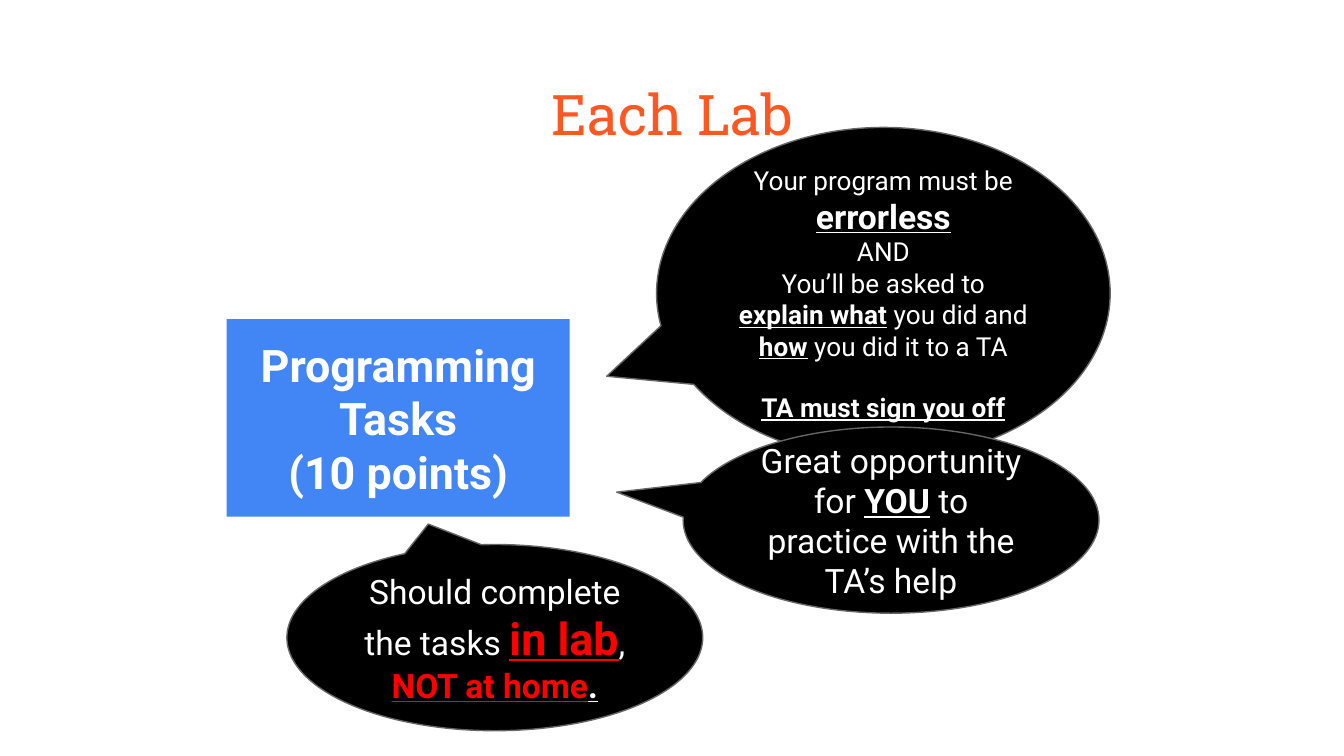
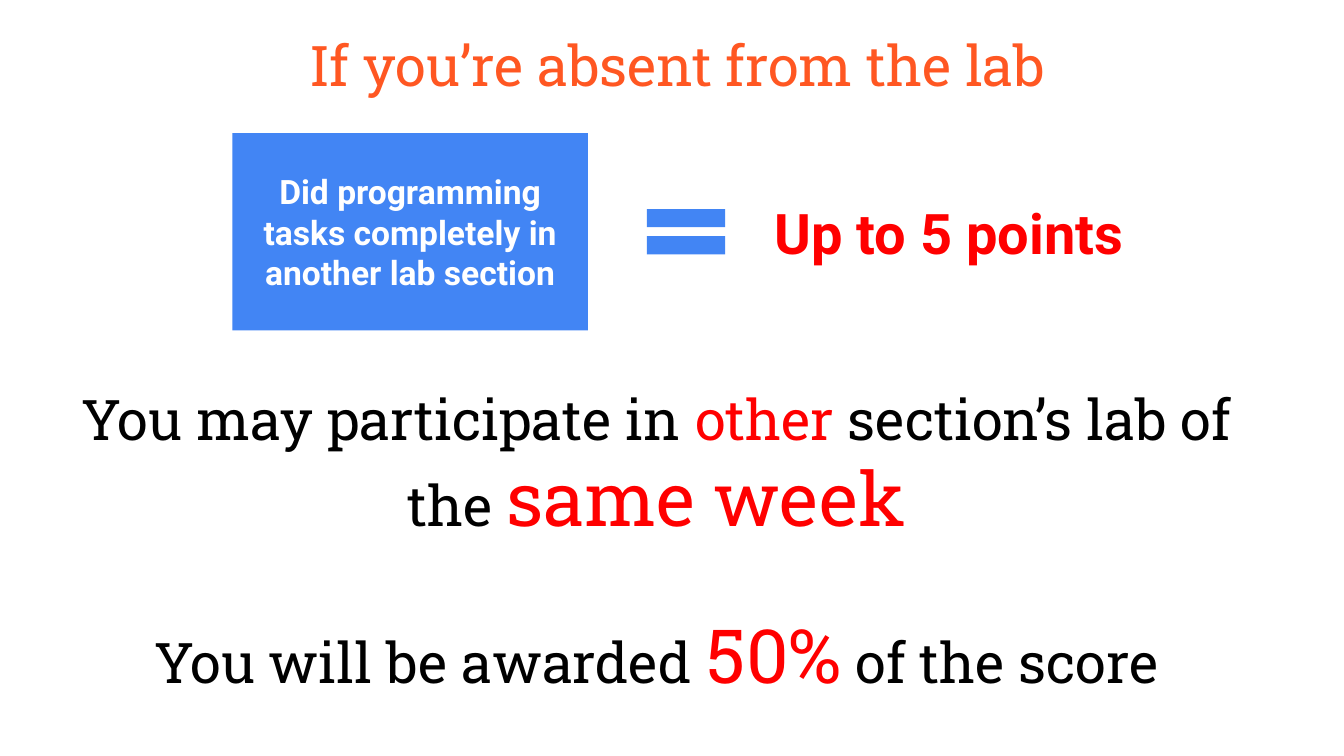
from pptx import Presentation
from pptx.dml.color import RGBColor
from pptx.enum.shapes import MSO_SHAPE as Preset
from pptx.enum.text import MSO_ANCHOR as Anchor, PP_ALIGN as Align
from pptx.util import Emu, Pt

SANS, SLAB = "Roboto", "Roboto Slab"
ORANGE, BLUE, RED = "FF5722", "4285F4", "FF0000"
BLACK, WHITE, GREY = "000000", "FFFFFF", "666666"
STRONG = {"bold": True, "underline": True}


def px(length):
    """Turn px into EMU."""
    return Emu(length * 9525)


def rgb(code):
    """Turn a hex string into a colour."""
    return RGBColor.from_string(code)


def write(holder, paragraphs, size, face, color, bold=False,
          align=Align.CENTER, anchor=Anchor.MIDDLE, gap=0):
    """Write paragraphs of (text, changes) runs, with a gap before the last."""
    frame = holder.text_frame
    frame.word_wrap = True
    frame.vertical_anchor = anchor
    frame.margin_left = frame.margin_right = px(10)
    frame.margin_top = frame.margin_bottom = px(10)
    base = {"size": size, "color": color, "bold": bold, "underline": False}
    for index, pieces in enumerate(paragraphs):
        line = frame.add_paragraph() if index else frame.paragraphs[0]
        line.alignment = align
        if gap and index == len(paragraphs) - 1:
            line.space_before = Pt(gap)
        for words, changes in pieces:
            style = {**base, **changes}
            run = line.add_run()
            run.text = words
            run.font.name = face
            run.font.size = Pt(style["size"])
            run.font.bold = style["bold"]
            run.font.underline = style["underline"]
            run.font.color.rgb = rgb(style["color"])


def add_text(slide, box, paragraphs, size, face, color, **layout):
    """Place free text in a box."""
    holder = slide.shapes.add_textbox(*map(px, box))
    write(holder, paragraphs, size, face, color, **layout)


def add_preset(slide, preset, box, fill, adjust=(), line=None):
    """Place a flat preset shape."""
    shape = slide.shapes.add_shape(preset, *map(px, box))
    shape.shadow.inherit = False
    for index, value in enumerate(adjust):
        shape.adjustments[index] = value
    shape.fill.solid()
    shape.fill.fore_color.rgb = rgb(fill)
    if line:
        shape.line.color.rgb = rgb(line)
        shape.line.width = Pt(0.75)
    else:
        shape.line.fill.background()
    return shape


def add_title(slide, box, words):
    """Place the slide title."""
    add_text(slide, box, [[(words, {})]], 30, SLAB, ORANGE, anchor=Anchor.TOP)


def add_task_card(slide, box, lines, size):
    """Place a blue card with bold white lines."""
    card = add_preset(slide, Preset.RECTANGLE, box, BLUE)
    write(card, [[(words, {})] for words in lines], size, SANS, WHITE, bold=True)


def add_bubble(slide, box, tip, paragraphs, size, gap=0):
    """Place a black speech bubble whose tip is relative to its box."""
    bubble = add_preset(slide, Preset.OVAL_CALLOUT, box, BLACK, tip, GREY)
    write(bubble, paragraphs, size, SANS, WHITE, gap=gap)


def add_equation(slide, left, top):
    """Place the card, the equals sign and the points it earns."""
    add_task_card(slide, (left, top, 254, 141),
                  ["Did programming tasks completely in another lab section"], 18)
    add_preset(slide, Preset.MATH_EQUAL, (left + 286, top + 43, 76, 55), BLUE,
               (0.235, 0.118))
    add_text(slide, (left + 377, top, 304, 141), [[("Up to 5 points", {})]],
             30, SANS, RED, bold=True, align=Align.LEFT)


def build_each_lab(slide):
    """Build the slide on the programming tasks of each lab."""
    add_title(slide, (33, 47, 895, 60), "Each Lab")
    add_bubble(slide, (469, 91, 324, 237), (-0.61, 0.25), [
        [("Your program must be ", {}), ("errorless", {**STRONG, "size": 18})],
        [("AND", {})],
        [("You’ll be asked to ", {}), ("explain what", STRONG),
         (" you did and ", {}), ("how", STRONG), (" you did it to a TA", {})],
        [("TA must sign you off", STRONG)],
    ], 14, gap=16)
    add_task_card(slide, (162, 228, 245, 141),
                  ["Programming Tasks", "(10 points)"], 24)
    add_bubble(slide, (488, 305, 297, 133), (-0.66, -0.15), [
        [("Great opportunity for ", {}), ("YOU", STRONG),
         (" to practice with the TA’s help", {})],
    ], 18)
    alert = {**STRONG, "color": RED}
    add_bubble(slide, (205, 389, 297, 133), (-0.16, -0.61), [
        [("Should complete the tasks ", {}), ("in lab", {**alert, "size": 24}),
         (", ", {}), ("NOT at home", alert), (".", STRONG)],
    ], 18)


def build_absence(slide):
    """Build the slide on absence from the lab."""
    add_equation(slide, 166, 95)
    add_title(slide, (93, 12, 782, 43), "If you’re absent from the lab")
    large = {"color": RED, "size": 40}
    add_text(slide, (39, 265, 860, 228), [
        [("You may participate in ", {}), ("other ", {"color": RED}),
         ("section’s lab of the ", {}), ("same week", large)],
        [("You will be awarded ", {}), ("50%", large), (" of the score", {})],
    ], 30, SLAB, BLACK, anchor=Anchor.TOP, gap=36)


def main():
    """Build and save the deck."""
    deck = Presentation()
    deck.slide_width, deck.slide_height = px(960), px(540)
    for build in (build_each_lab, build_absence):
        build(deck.slides.add_slide(deck.slide_layouts[6]))
    deck.save("out.pptx")


if __name__ == "__main__":
    main()
